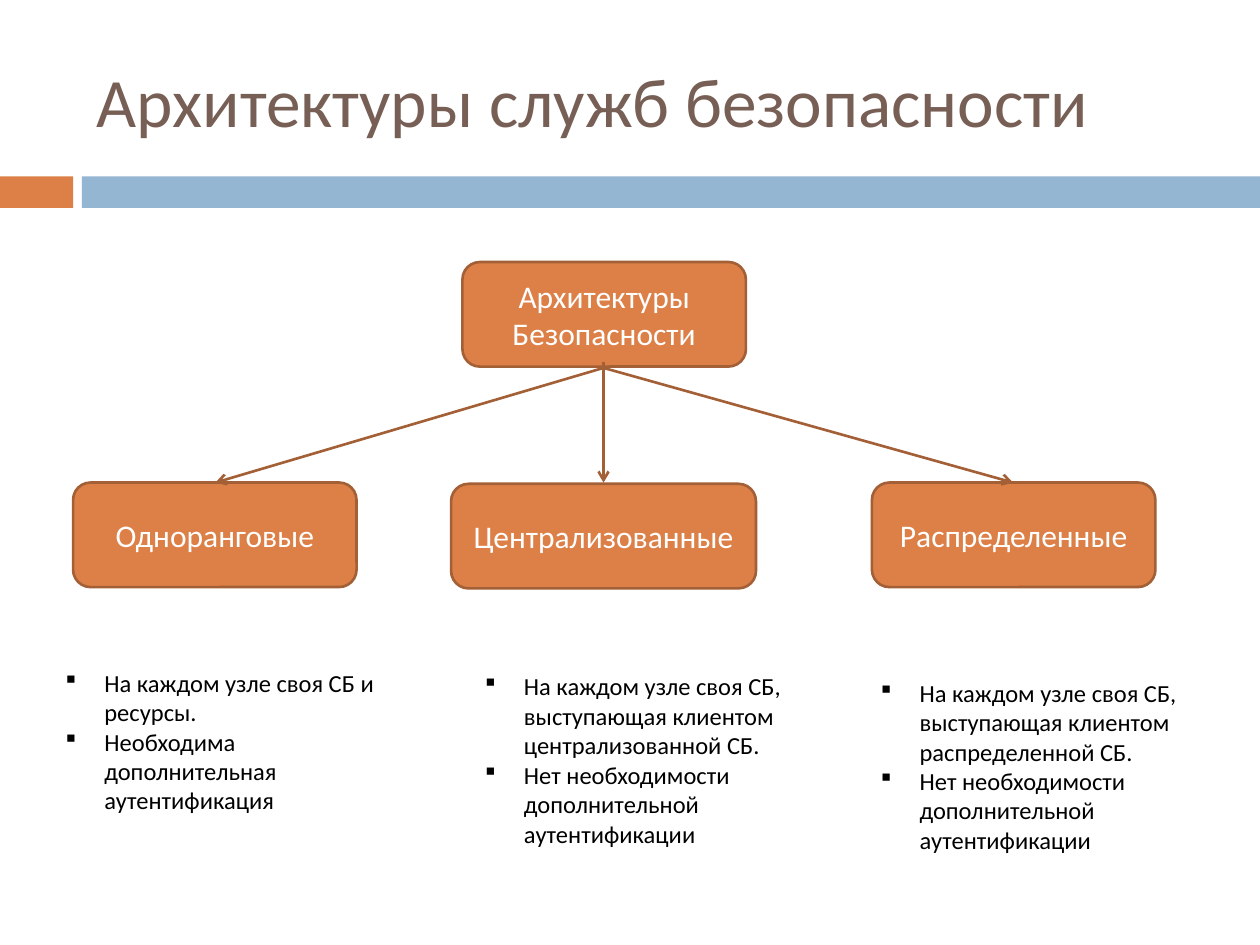
"""Build the slide on security service architectures."""
from lxml import etree
from pptx import Presentation
from pptx.dml.color import RGBColor
from pptx.enum.shapes import MSO_CONNECTOR, MSO_SHAPE
from pptx.enum.text import MSO_ANCHOR, PP_ALIGN
from pptx.oxml.ns import qn
from pptx.util import Inches, Pt

ORANGE = RGBColor(0xDD, 0x80, 0x47)
BROWN = RGBColor(0xA3, 0x5F, 0x35)
BLUE = RGBColor(0x94, 0xB6, 0xD2)
TITLE = RGBColor(0x77, 0x5F, 0x55)
WHITE = RGBColor(0xFF, 0xFF, 0xFF)
BLACK = RGBColor(0, 0, 0)


def add_filled(kind, left, top, width, height, color):
    shape = page.shapes.add_shape(
        kind, Inches(left), Inches(top), Inches(width), Inches(height))
    shape.shadow.inherit = False
    shape.fill.solid()
    shape.fill.fore_color.rgb = color
    shape.line.fill.background()
    return shape


def write(shape, text, size, color, align=PP_ALIGN.LEFT, anchor=MSO_ANCHOR.MIDDLE):
    frame = shape.text_frame
    frame.word_wrap = True
    frame.vertical_anchor = anchor
    frame.text = text
    for para in frame.paragraphs:
        para.alignment = align
        for span in para.runs:
            span.font.name = "Calibri"
            span.font.size = Pt(size)
            span.font.color.rgb = color


deck = Presentation()
deck.slide_width, deck.slide_height = Inches(10), Inches(7.5)
page = deck.slides.add_slide(deck.slide_layouts[6])

add_filled(MSO_SHAPE.RECTANGLE, 0, 1.4, 0.58, 0.25, ORANGE)
add_filled(MSO_SHAPE.RECTANGLE, 0.65, 1.4, 9.35, 0.25, BLUE)
title = page.shapes.add_textbox(Inches(0.67), Inches(0.25), Inches(8.92), Inches(1.08))
write(title, "Архитектуры служб безопасности", 39.6, TITLE)

nodes = [
    ("Архитектуры Безопасности", 3.67, 2.08, 2.25),
    ("Одноранговые", 0.58, 3.83, 2.25),
    ("Централизованные", 3.58, 3.84, 2.42),
    ("Распределенные", 6.92, 3.83, 2.25),
]
for label, left, top, width in nodes:
    node = add_filled(MSO_SHAPE.ROUNDED_RECTANGLE, left, top, width, 0.83, ORANGE)
    node.line.color.rgb = BROWN
    node.line.width = Pt(1.5)
    write(node, label, 18, WHITE, PP_ALIGN.CENTER)

for start_y, end_x in [(2.92, 1.71), (2.87, 4.79), (2.92, 8.04)]:
    arrow = page.shapes.add_connector(
        MSO_CONNECTOR.STRAIGHT, Inches(4.79), Inches(start_y), Inches(end_x), Inches(3.83))
    arrow.line.color.rgb = BROWN
    arrow.line.width = Pt(1.5)
    etree.SubElement(arrow.line._get_or_add_ln(), qn("a:tailEnd"), type="arrow")
    etree.SubElement(arrow._element.spPr, qn("a:effectLst"))

no_extra = "Нет необходимости дополнительной аутентификации"
notes = [
    (0.42, 5.25, 1.28, "На каждом узле своя СБ и ресурсы. ",
     "Необходима дополнительная аутентификация"),
    (3.75, 5.28, 1.51,
     "На каждом узле своя СБ, выступающая клиентом централизованной СБ. ", no_extra),
    (6.89, 5.33, 1.51,
     "На каждом узле своя СБ, выступающая клиентом распределенной СБ. ", no_extra),
]
for left, top, height, *points in notes:
    box = page.shapes.add_textbox(Inches(left), Inches(top), Inches(2.75), Inches(height))
    write(box, "\n".join(points), 14, BLACK, anchor=MSO_ANCHOR.TOP)
    for para in box.text_frame.paragraphs:
        props = para._p.get_or_add_pPr()
        props.set("marL", str(Inches(0.31)))
        props.set("indent", str(Inches(-0.31)))
        etree.SubElement(props, qn("a:buFont"), typeface="Wingdings")
        etree.SubElement(props, qn("a:buChar"), char="§")

deck.save("out.pptx")
